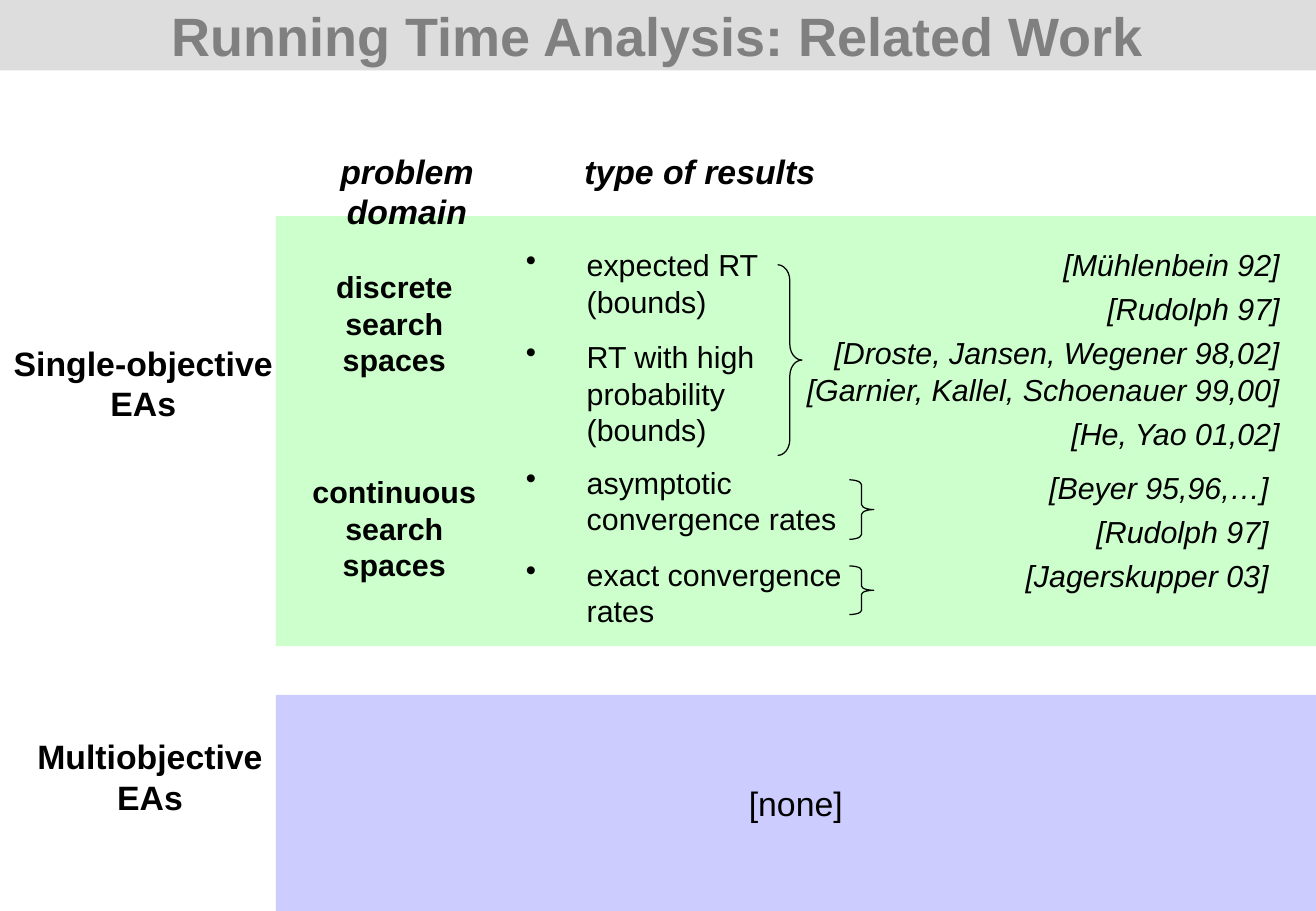
from lxml import etree
from pptx import Presentation
from pptx import util as u
from pptx.dml.color import RGBColor
from pptx.enum import shapes, text
from pptx.oxml.ns import qn

BLACK = "000000"
HEADING = dict(size=20, bold=True)
COLUMN = dict(size=20, bold=True, italic=True)
DOMAIN = dict(size=18, bold=True)
RESULT = dict(size=18)
CITATION = dict(size=18, italic=True)
CENTER, RIGHT, LEFT = text.PP_ALIGN.CENTER, text.PP_ALIGN.RIGHT, text.PP_ALIGN.LEFT


def rgb(value):
    return RGBColor.from_string(value)


def inches(*values):
    return [u.Inches(v) for v in values]


def add_bullet(p):
    pPr = p._p.get_or_add_pPr()
    pPr.set("marL", str(u.Inches(0.5)))
    pPr.set("indent", str(-u.Inches(0.5)))
    color = etree.SubElement(pPr, qn("a:buClr"))
    etree.SubElement(color, qn("a:srgbClr"), val=BLACK)
    etree.SubElement(pPr, qn("a:buChar"), char="•")


def write(sp, lines, style, align=CENTER, gap=0, bullets=False, color=BLACK):
    tf = sp.text_frame
    tf.word_wrap = True
    tf.auto_size = text.MSO_AUTO_SIZE.NONE
    for i, line in enumerate(lines):
        p = tf.add_paragraph() if i else tf.paragraphs[0]
        p.text = line
        p.alignment = align
        if i:
            p.space_before = u.Pt(gap)
        if bullets:
            add_bullet(p)
        for r in p.runs:
            font = dict(style, name="Arial", size=u.Pt(style["size"]))
            for key, value in font.items():
                setattr(r.font, key, value)
            r.font.color.rgb = rgb(color)


def add_text(s, box, lines, style, **options):
    write(s.shapes.add_textbox(*inches(*box)), lines, style, **options)


def add_panel(s, box, fill):
    sp = s.shapes.add_shape(shapes.MSO_SHAPE.RECTANGLE, *inches(*box))
    sp.shadow.inherit = False
    sp.fill.solid()
    sp.fill.fore_color.rgb = rgb(fill)
    sp.line.fill.background()
    return sp


def add_brace(s, x, y, h, w=0.2):
    sp = s.shapes.add_shape(shapes.MSO_SHAPE.RIGHT_BRACE, *inches(x, y, w, h))
    sp.shadow.inherit = False
    sp.fill.background()
    sp.line.color.rgb = rgb(BLACK)
    sp.line.width = u.Pt(0.75)
    sp.adjustments[0] = h / 12 / w


def add_title(s, box):
    sp = s.shapes.title
    sp.left, sp.top, sp.width, sp.height = inches(*box)
    sp.fill.solid()
    sp.fill.fore_color.rgb = rgb("DDDDDD")
    sp.text_frame.vertical_anchor = text.MSO_ANCHOR.MIDDLE
    write(sp, ["Running Time Analysis: Related Work"], dict(size=32, bold=True), color="808080")


def add_domain(s, x, y, name, name_dy, results, results_w, citations, citations_box, braces):
    add_text(s, (x + 0.19, y + name_dy, 1.57, 1), [name], DOMAIN)
    add_text(s, (x + 1.96, y, results_w, 1.5), results, RESULT, align=LEFT, gap=11.2, bullets=True)
    dx, dy, w, h = citations_box
    add_text(s, (x + dx, y + dy, w, h), citations, CITATION, align=RIGHT, gap=4.5)
    for brace_dx, brace_dy, brace_h in braces:
        add_brace(s, x + brace_dx, y + brace_dy, brace_h)


def add_single_objective(s, box):
    x, y, w, h = box
    add_panel(s, box, "CCFFCC")
    add_text(s, (0, y + 0.99, 2.36, 0.77), ["Single-objective EAs"], HEADING)
    add_text(s, (x - 0.07, y - 0.59, 2.3, 0.77), ["problem domain"], COLUMN)
    add_text(s, (x + 2.36, y - 0.59, 2.26, 0.44), ["type of results"], COLUMN)
    add_domain(
        s, x, y + 0.2, "discrete search spaces", 0.18,
        ["expected RT (bounds)", "RT with high probability (bounds)"], 2.36,
        ["[Mühlenbein 92]", "[Rudolph 97]",
         "[Droste, Jansen, Wegener 98,02]\n[Garnier, Kallel, Schoenauer 99,00]",
         "[He, Yao 01,02]"],
        (4.13, 0, 4.23, 1.79), [(4.13, 0.2, 1.57)])
    add_domain(
        s, x, y + 1.99, "continuous search spaces", 0.08,
        ["asymptotic convergence rates", "exact convergence rates"], 2.95,
        ["[Beyer 95,96,…]", "[Rudolph 97]", "[Jagerskupper 03]"],
        (5.61, 0.04, 2.66, 1.13), [(4.72, 0.18, 0.49), (4.72, 0.89, 0.4)])


def add_multiobjective(s, box):
    x, y, w, h = box
    add_text(s, (x - 2.07, y + 0.29, 2.07, 0.77), ["Multiobjective EAs"], HEADING)
    sp = add_panel(s, box, "CCCCFF")
    sp.text_frame.vertical_anchor = text.MSO_ANCHOR.MIDDLE
    write(sp, ["[none]"], dict(size=20))


def main():
    prs = Presentation()
    prs.slide_width, prs.slide_height = inches(10.83, 7.5)
    s = prs.slides.add_slide(prs.slide_layouts[5])
    add_title(s, (0, 0, 10.83, 0.58))
    add_single_objective(s, (2.27, 1.78, 8.56, 3.54))
    add_multiobjective(s, (2.27, 5.72, 8.56, 1.78))
    prs.save("out.pptx")


if __name__ == "__main__":
    main()
